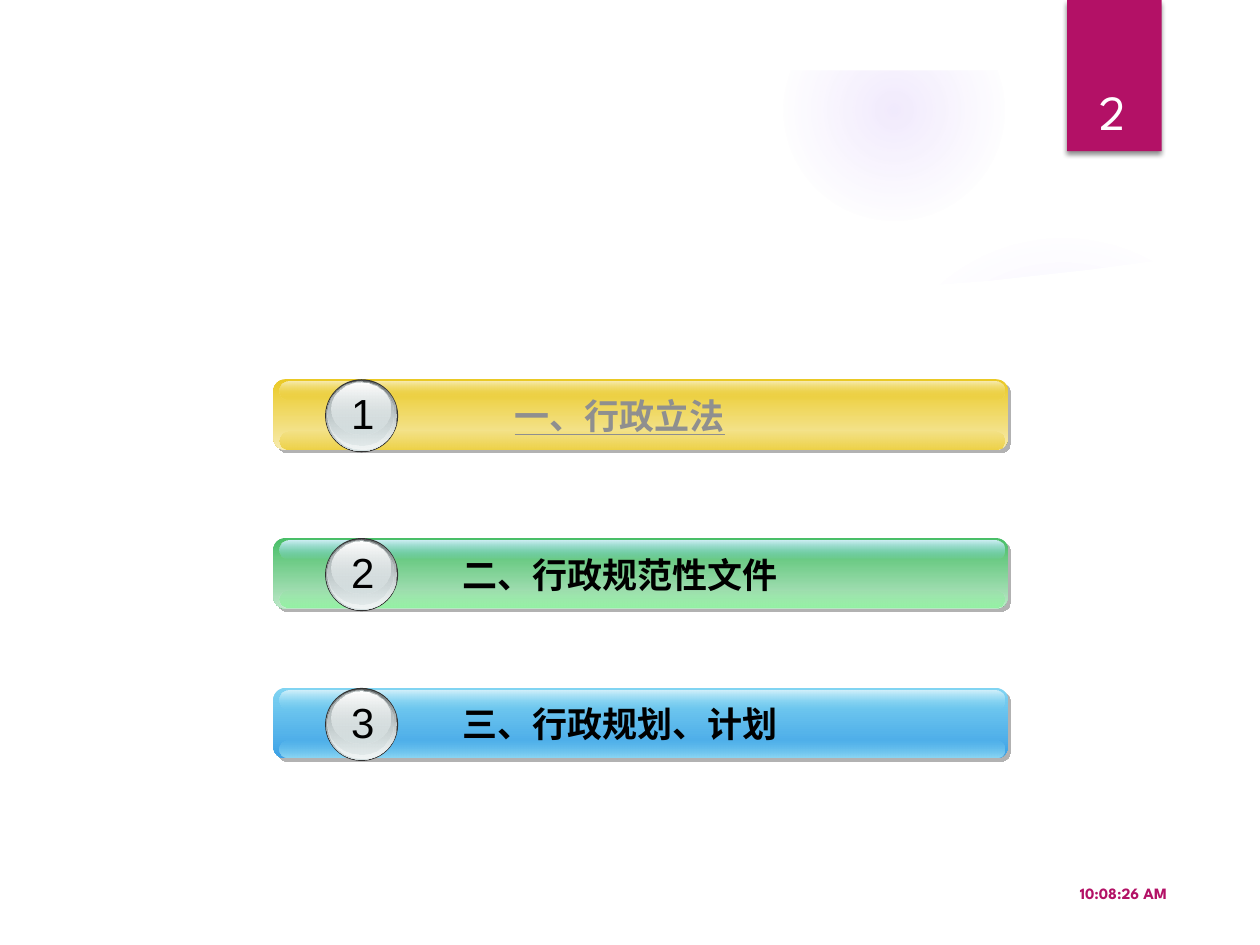
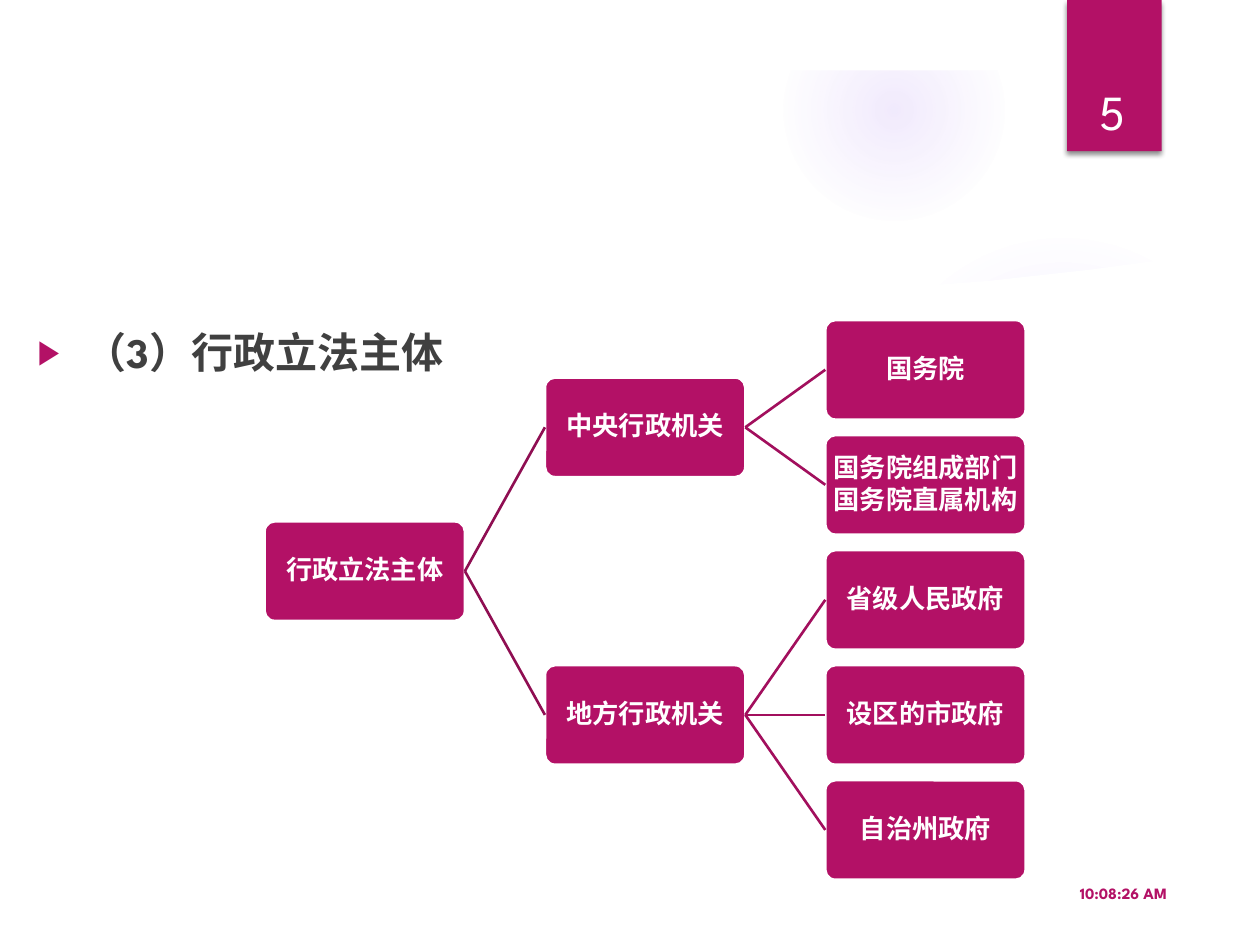
from lxml import etree
from pptx import Presentation
from pptx.dml.color import RGBColor
from pptx.enum.shapes import MSO_CONNECTOR, MSO_SHAPE
from pptx.enum.text import MSO_ANCHOR, PP_ALIGN
from pptx.oxml.ns import qn
from pptx.util import Inches, Pt

RECT, ROUND = MSO_SHAPE.RECTANGLE, MSO_SHAPE.ROUNDED_RECTANGLE
OVAL, FRAME = MSO_SHAPE.OVAL, MSO_SHAPE.FRAME
LINE = MSO_CONNECTOR.STRAIGHT
TOP, MID, LOW = MSO_ANCHOR.TOP, MSO_ANCHOR.MIDDLE, MSO_ANCHOR.BOTTOM
LEFT, CENTER, RIGHT = PP_ALIGN.LEFT, PP_ALIGN.CENTER, PP_ALIGN.RIGHT
COLS, ROWS = 100, 75
SANS, HAN, ARIAL = "League Spartan", "Noto Sans CJK SC", "Arial"

HUES = {
    "rose": "B31166", "wine": "8F0E52", "plum": "A20F5D", "white": "FFFFFF",
    "black": "000000", "ink": "404040", "dim": "8F8F8F", "rim": "333333",
    "shade": "B2B2B2", "glow": "9B6BF2", "steel": "636869", "mist": "D6E1E2",
    "pale": "F1F5F5", "ash": "AAB2B3", "gold": "EAC924", "cream": "F7EBAF",
    "straw": "EDD03F", "butter": "F8EDB6", "green": "48BE67", "mint": "BCE7C8",
    "lime": "82F094", "leaf": "91F2A1", "ice": "D5F1FB", "sky": "80D4F2",
    "blue": "3CA1E6", "azure": "8FD9F4",
}


class Deck:
    def __init__(self):
        self.prs = Presentation()
        self.prs.slide_width, self.prs.slide_height = Inches(10), Inches(7.5)
        self.slide = None

    def x(self, cols):
        return round(self.prs.slide_width * cols / COLS)

    def y(self, rows):
        return round(self.prs.slide_height * rows / ROWS)

    def area(self, box):
        left, top, wide, high = box
        return self.x(left), self.y(top), self.x(wide), self.y(high)

    def hue(self, name):
        return RGBColor.from_string(HUES[name])

    def tint(self, root, name, alpha=100):
        node = etree.SubElement(root, qn("a:srgbClr"), val=HUES[name])
        if alpha < 100:
            etree.SubElement(node, qn("a:alpha"), val=str(alpha * 1000))

    def paint(self, shape, fill, edge=None):
        shape.shadow.inherit = False
        shape.fill.solid()
        if isinstance(fill, str):
            shape.fill.fore_color.rgb = self.hue(fill)
        else:
            self.blend(shape, fill)
        if edge:
            shape.line.color.rgb = self.hue(edge)
            shape.line.width = Pt(1.5)
        else:
            shape.line.fill.background()
        return shape

    def blend(self, shape, stops):
        props = shape._element.spPr
        grad = etree.Element(qn("a:gradFill"), rotWithShape="1")
        group = etree.SubElement(grad, qn("a:gsLst"))
        for place, name, alpha in stops:
            stop = etree.SubElement(group, qn("a:gs"), pos=str(place * 1000))
            self.tint(stop, name, alpha)
        if len(stops) > 2:
            ring = etree.SubElement(grad, qn("a:path"), path="circle")
            sides = dict.fromkeys("ltrb", "50000")
            etree.SubElement(ring, qn("a:fillToRect"), **sides)
        else:
            etree.SubElement(grad, qn("a:lin"), ang="5400000", scaled="0")
        props.replace(props.find(qn("a:solidFill")), grad)

    def shade(self, shape, name, alpha, blur, dist, angle):
        effects = shape._element.spPr.find(qn("a:effectLst"))
        cast = etree.SubElement(
            effects, qn("a:outerShdw"), blurRad=str(Pt(blur)), dist=str(Pt(dist)),
            dir=str(angle * 60000), algn="ctr", rotWithShape="0")
        self.tint(cast, name, alpha)

    def shape(self, kind, box, fill, bend=None, edge=None):
        item = self.slide.shapes.add_shape(kind, *self.area(box))
        if bend is not None:
            item.adjustments[0] = bend
        return self.paint(item, fill, edge)

    def outline(self, points, fill):
        spots = [(self.x(a), self.y(b)) for a, b in points]
        pen = self.slide.shapes.build_freeform(*spots[0], scale=1.0)
        pen.add_line_segments(spots[1:], close=True)
        return self.paint(pen.convert_to_shape(), fill)

    def label(self, shape, lines, size, color, font=SANS, bold=False,
              under=False, align=CENTER, anchor=TOP):
        frame = shape.text_frame
        frame.word_wrap = True
        frame.vertical_anchor = anchor
        for spot, words in enumerate(lines):
            para = frame.add_paragraph() if spot else frame.paragraphs[0]
            para.alignment = align
            run = para.add_run()
            run.text = words
            run.font.name, run.font.size = font, Pt(size)
            run.font.bold, run.font.underline = bold, under
            run.font.color.rgb = self.hue(color)
            etree.SubElement(run._r.get_or_add_rPr(), qn("a:ea"), typeface=HAN)
        return frame

    def text(self, box, words, size, color, **style):
        item = self.slide.shapes.add_textbox(*self.area(box))
        return self.label(item, [words], size, color, **style)

    def bullet(self, para, color):
        props = para._p.get_or_add_pPr()
        props.set("marL", str(self.x(3.75)))
        props.set("indent", str(-self.x(3.75)))
        self.tint(etree.SubElement(props, qn("a:buClr")), color)
        etree.SubElement(props, qn("a:buSzPct"), val="80000")
        etree.SubElement(props, qn("a:buFont"), typeface=ARIAL)
        etree.SubElement(props, qn("a:buChar"), char="▶")

    def link(self, start, end, color):
        line = self.slide.shapes.add_connector(LINE, 0, 0, 0, 0)
        line.begin_connect(start, 3)
        line.end_connect(end, 1)
        line.line.color.rgb = self.hue(color)
        line.line.width = Pt(1.5)
        etree.SubElement(line._element.spPr, qn("a:effectLst"))

    def page(self, number):
        self.slide = self.prs.slides.add_slide(self.prs.slide_layouts[6])
        for box, alphas, end in GLOWS:
            stops = zip((0, 36, end), ("glow",) * 3, alphas)
            self.shape(OVAL, box, list(stops))
        self.outline(PANEL, "white")
        self.shape(FRAME, (0, 0, COLS, ROWS), "white", 5.6 / ROWS)
        tab = self.shape(RECT, (84.7, 0, 7.5, 12), "rose")
        self.shade(tab, "black", 45, 3, 2, 90)
        self.text((82.8, 69.6, 10.8, 2.5), "10:08:26 AM", 9, "rose",
                  bold=True, align=RIGHT, anchor=LOW)
        self.text((84, 3.2, 8.6, 8.4), number, 28, "white", anchor=LOW)

    def bar(self, top, number, words, body, base, gloss, color, under):
        slab = self.shape(ROUND, (21.7, top, 58.3, 5.6), fade(*body), 0.17)
        self.shade(slab, "shade", 100, 0, 2.8, 45)
        self.shape(ROUND, (22.2, top + 4.15, 57.5, 1.4), fade(*base, 0, 100), 0.5)
        self.shape(ROUND, (22.2, top + 0.2, 57.5, 1.4), fade(*gloss, 100, 0), 0.5)
        self.text((31.7, top + 0.7, 35, 4.3), words, 20, color,
                  font=HAN, bold=True, under=under)
        for left, drop, wide, high, fill in BALL:
            self.shape(OVAL, (left, top + drop, wide, high), fill)
        self.text((26.7, top + 0.2, 4.2, 5), number, 24, "black", font=ARIAL)

    def node(self, level, row, lines):
        box = (21 + 22.25 * level, 25.4 + 9.13 * row, 15.9, 7.9)
        item = self.shape(ROUND, box, "rose", 0.1, "white")
        frame = self.label(item, lines, 15, "white", bold=True, anchor=MID)
        frame.margin_left = frame.margin_right = self.x(0.3)
        frame.margin_top = frame.margin_bottom = self.y(0.3)
        for para in frame.paragraphs:
            para.line_spacing = 0.9
            para.space_after = Pt(2)
        return item


def fade(first, last, start=100, end=100):
    return [(0, first, start), (100, last, end)]


GLOWS = [
    ((68.9, 18.3, 30.8, 30.8), (7, 6, 0), 69),
    ((62.2, 0, 17.5, 17.5), (14, 7, 0), 73),
]
PANEL = [
    (5.3, 20.3), (5.3, 69.9), (94.7, 69.9), (94.7, 20.3), (86.6, 21.4),
    (78.5, 22.3), (70.4, 22.9), (62.5, 23.3), (54.8, 23.4), (47.4, 23.4),
    (40.4, 23.3), (33.8, 23), (27.7, 22.6), (22.2, 22.2), (13.2, 21.3),
]
BALL = [
    (25.8, 0, 5.8, 5.8, "rim"),
    (25.9, 0.1, 5.6, 5.6, fade("steel", "mist")),
    (26, 0.1, 5.5, 5.5, fade("mist", "pale", 0, 100)),
    (26, 0.2, 5.2, 5.1, fade("ash", "mist", 100, 48)),
    (26.3, 0.3, 4.7, 4.1, fade("white", "mist", 100, 38)),
]
BARS = [
    (30.1, "1", "一、行政立法", ("gold", "cream"), ("gold", "straw"),
     ("butter", "gold"), "dim", True),
    (42.7, "2", "二、行政规范性文件", ("green", "mint"), ("lime", "leaf"),
     ("ice", "sky"), "black", False),
    (54.6, "3", "三、行政规划、计划", ("sky", "blue"), ("sky", "azure"),
     ("ice", "sky"), "black", False),
]
TREE = {
    "中央行政机关": [["国务院"], ["国务院组成部门", "国务院直属机构"]],
    "地方行政机关": [["省级人民政府"], ["设区的市政府"], ["自治州政府"]],
}


def topics(deck):
    deck.page("2")
    for bar in BARS:
        deck.bar(*bar)


def bodies(deck):
    deck.page("5")
    frame = deck.text((2, 25.4, 69.4, 38.6), "（3）行政立法主体", 24, "ink",
                      bold=True, align=LEFT)
    para = frame.paragraphs[0]
    para.space_before = Pt(10)
    deck.bullet(para, "rose")
    row, mids = 0, []
    for name, leaves in TREE.items():
        spot = row + (len(leaves) - 1) / 2
        branch = deck.node(1, spot, [name])
        mids.append((spot, branch))
        for lines in leaves:
            deck.link(branch, deck.node(2, row, lines), "plum")
            row += 1
    root = deck.node(0, sum(spot for spot, _ in mids) / len(mids), ["行政立法主体"])
    for _, branch in mids:
        deck.link(root, branch, "wine")


def main():
    deck = Deck()
    topics(deck)
    bodies(deck)
    deck.prs.save("out.pptx")


if __name__ == "__main__":
    main()
